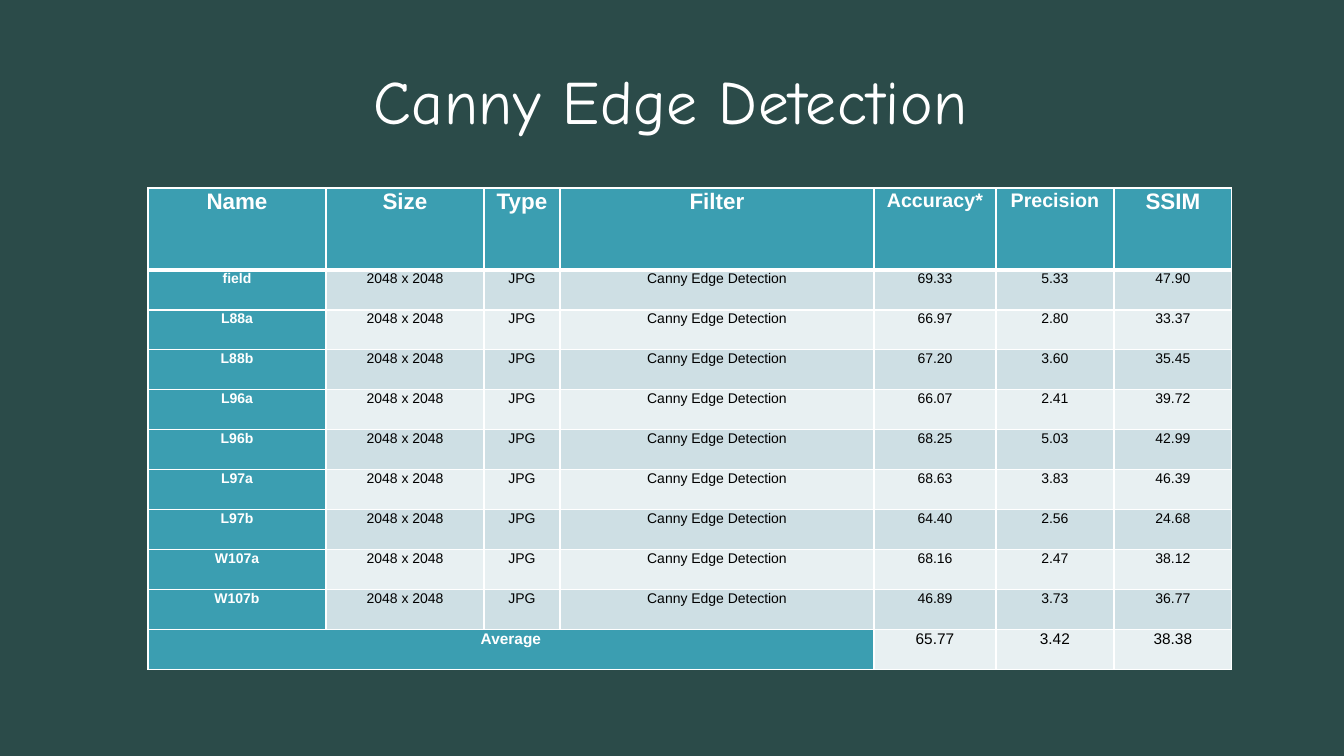
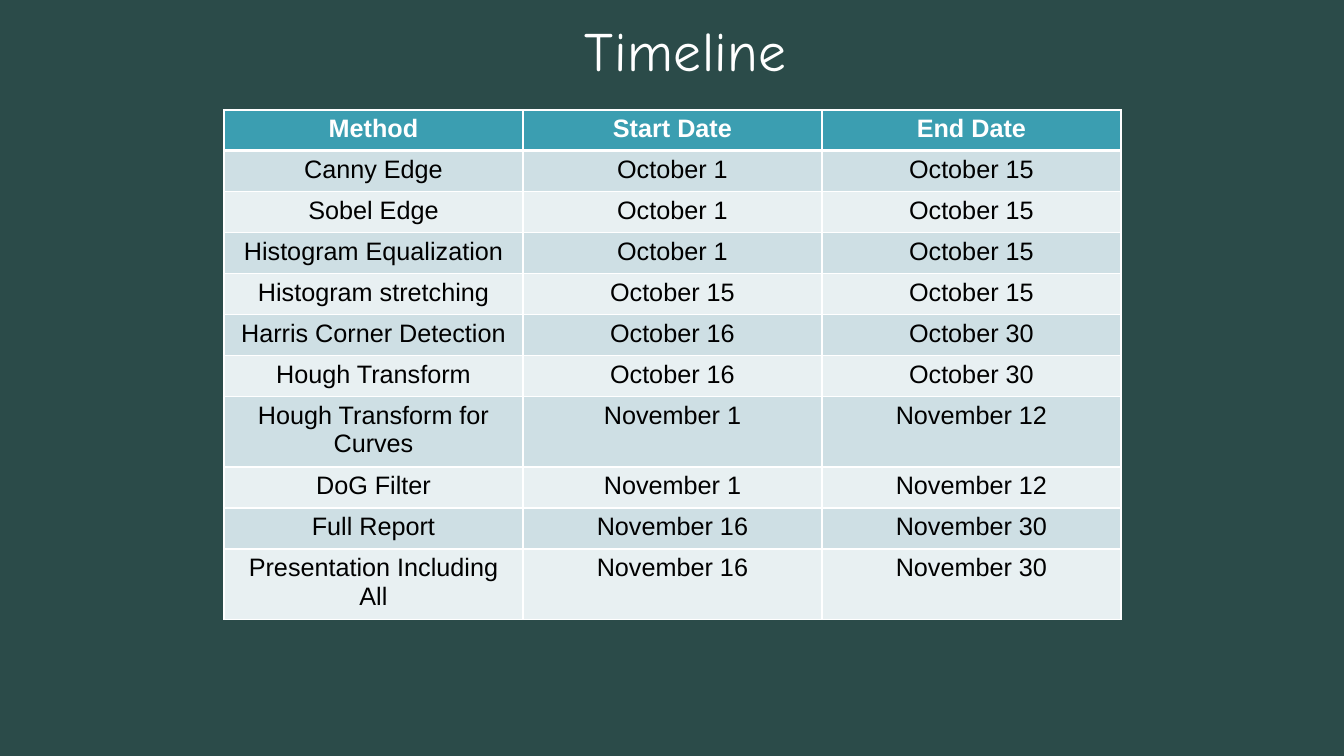
from dataclasses import dataclass

from lxml.etree import SubElement
from pptx import Presentation
from pptx.dml.color import RGBColor
from pptx.enum.text import MSO_ANCHOR, PP_ALIGN
from pptx.oxml.ns import qn
from pptx.util import Pt


@dataclass(frozen=True)
class Theme:
    back: str = "2B4B49"
    teal: str = "3B9EB1"
    dark: str = "CEDFE4"
    light: str = "E8F0F2"
    white: str = "FFFFFF"
    black: str = "000000"
    head: str = "Comic Neue"
    body: str = "Arial"
    big: float = 44
    mid: float = 39.6
    date: int = 18
    label: int = 16
    tight: int = 14
    total: int = 11
    small: int = 10
    thin: int = 1
    thick: int = 3


T = Theme()
WIDE, HIGH = 1344, 756
SCALE = 12192000 / WIDE

SCORES = [
    ("field", "69.33", "5.33", "47.90"),
    ("L88a", "66.97", "2.80", "33.37"),
    ("L88b", "67.20", "3.60", "35.45"),
    ("L96a", "66.07", "2.41", "39.72"),
    ("L96b", "68.25", "5.03", "42.99"),
    ("L97a", "68.63", "3.83", "46.39"),
    ("L97b", "64.40", "2.56", "24.68"),
    ("W107a", "68.16", "2.47", "38.12"),
    ("W107b", "46.89", "3.73", "36.77"),
]
PLAN = [
    ("Canny Edge", "October 1", "October 15"),
    ("Sobel Edge", "October 1", "October 15"),
    ("Histogram Equalization", "October 1", "October 15"),
    ("Histogram stretching", "October 15", "October 15"),
    ("Harris Corner Detection", "October 16", "October 30"),
    ("Hough Transform", "October 16", "October 30"),
    ("Hough Transform for Curves", "November 1", "November 12"),
    ("DoG Filter", "November 1", "November 12"),
    ("Full Report", "November 16", "November 30"),
    ("Presentation Including All", "November 16", "November 30"),
]


def px(n):
    return round(n * SCALE)


def paint(fill, tint):
    fill.solid()
    fill.fore_color.rgb = RGBColor.from_string(tint)


def write(para, text, size, tint, face=T.body, bold=False):
    para.alignment = PP_ALIGN.CENTER
    run = para.add_run()
    run.text = text
    font = run.font
    font.name, font.size, font.bold = face, Pt(size), bold
    font.color.rgb = RGBColor.from_string(tint)
    return run


def title(slide, text, box, size):
    frame = slide.shapes.add_textbox(*map(px, box)).text_frame
    frame.margin_left = frame.margin_right = 0
    frame.margin_top = frame.margin_bottom = 0
    frame.word_wrap = True
    frame.vertical_anchor = MSO_ANCHOR.MIDDLE
    para = frame.paragraphs[0]
    para.line_spacing = 0.88
    run = write(para, text, size, T.white, T.head)
    run._r.get_or_add_rPr().set("spc", "40")


def edge(cell, row):
    """Rule all four sides, with a thick line under the header row."""
    props = cell._tc.get_or_add_tcPr()
    heavy = {(0, "lnB"), (1, "lnT")}
    for spot, side in enumerate(("lnL", "lnR", "lnT", "lnB")):
        width = T.thick if (row, side) in heavy else T.thin
        line = props.makeelement(qn(f"a:{side}"), {"w": str(Pt(width))})
        fill = SubElement(line, qn("a:solidFill"))
        SubElement(fill, qn("a:srgbClr"), val=T.white)
        props.insert(spot, line)


def grid(slide, spot, cols, rows):
    """Add an unstyled table with its top left corner at spot."""
    box = (*spot, sum(cols), sum(rows))
    shape = slide.shapes.add_table(len(rows), len(cols), *map(px, box))
    table = shape.table
    table.first_row = table.horz_banding = False
    for col, width in zip(table.columns, cols):
        col.width = px(width)
    for row, height in zip(table.rows, rows):
        row.height = px(height)
    return table


def put(table, row, col, text, size, lead):
    """Fill one cell; lead cells are teal with bold white text."""
    cell = table.cell(row, col)
    band = T.dark if row % 2 else T.light
    paint(cell.fill, T.teal if lead else band)
    edge(cell, row)
    if text:
        tint = T.white if lead else T.black
        write(cell.text_frame.paragraphs[0], text, size, tint, bold=lead)
    return cell


def scores(slide, spot):
    cols = (178, 158, 76, 314, 122, 118, 118)
    names = ("Name", "Size", "Type", "Filter", "Accuracy*", "Precision", "SSIM")
    data = [names]
    for name, *marks in SCORES:
        data.append((name, "2048 x 2048", "JPG", "Canny Edge Detection", *marks))
    data.append(("Average", "", "", "", "65.77", "3.42", "38.38"))
    last = len(data) - 1
    table = grid(slide, spot, cols, [82] + [40] * last)
    table.cell(last, 0).merge(table.cell(last, 3))
    for r, line in enumerate(data):
        for c, text in enumerate(line):
            size = T.total if r == last else T.small
            if r == 0:
                size = T.tight if c in (4, 5) else T.label
            lead = r == 0 or c == 0 or (r == last and c < 4)
            cell = put(table, r, c, text, size, lead)
            cell.margin_left = cell.margin_right = px(7)
            cell.margin_top = cell.margin_bottom = 0
            para = cell.text_frame.paragraphs[0]
            para.line_spacing, para.space_before = 1.07, Pt(12)


def dates(slide, spot):
    data = [("Method", "Start Date", "End Date"), *PLAN]
    rows = [38] + [66 if len(line[0]) > 23 else 41 for line in PLAN]
    table = grid(slide, spot, [299] * 3, rows)
    for r, line in enumerate(data):
        for c, text in enumerate(line):
            put(table, r, c, text, T.date, r == 0)


def main():
    deck = Presentation()
    deck.slide_width, deck.slide_height = px(WIDE), px(HIGH)
    paint(deck.slide_master.background.fill, T.back)
    blank = deck.slide_layouts[6]

    slide = deck.slides.add_slide(blank)
    title(slide, "Canny Edge Detection", (80, 69, 1182, 71), T.big)
    scores(slide, (148, 188))

    slide = deck.slides.add_slide(blank)
    title(slide, "Timeline", (95, 21, 1182, 65), T.mid)
    dates(slide, (224, 110))

    deck.save("out.pptx")


if __name__ == "__main__":
    main()
